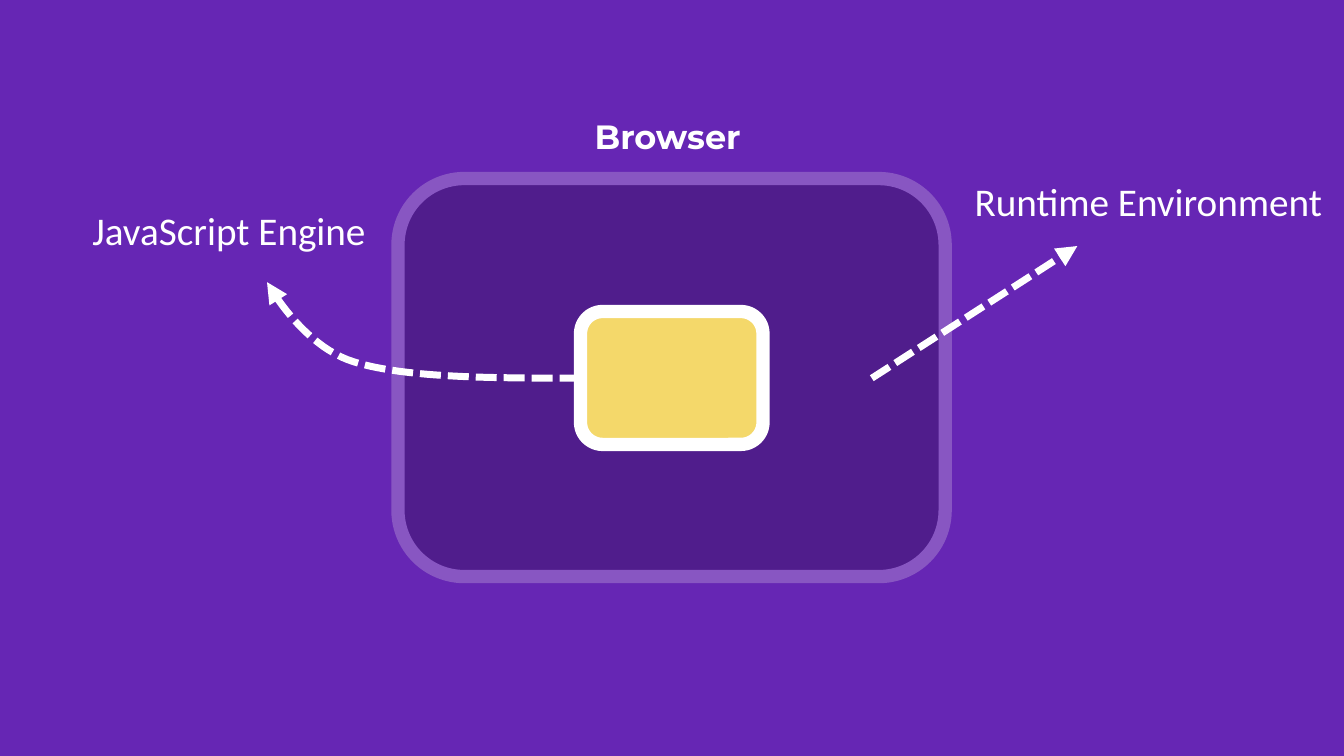
import pptx
import pptx.util
import pptx.dml.color
import pptx.enum.dml
import pptx.enum.shapes
import pptx.enum.text
import pptx.oxml.ns
from lxml import etree

Cm, Pt = pptx.util.Cm, pptx.util.Pt

COLORS = {
    "background": "6626B4",
    "browser": "501D8C",
    "browser_edge": "8856C2",
    "engine": "F4D86A",
    "white": "FFFFFF",
}
TITLE = ("Browser", (14.73, 2.79, 4.39, 1.27))
LABELS = [
    ("JavaScript Engine", (2.08, 5.08, 7.47, 1.45)),
    ("Runtime Environment", (24.31, 4.34, 9.37, 1.45)),
]
BOXES = [
    ((10.03, 4.5, 13.79, 10.03), "browser", "browser_edge"),
    ((14.63, 7.85, 4.6, 3.35), "engine", "white"),
]
ENGINE_CURVE = [
    [(14.63, 9.53), (12.45, 9.53), (10.24, 9.53), (8.92, 9.12)],
    [(8.92, 9.12), (7.59, 8.71), (6.73, 7.11), (6.73, 7.11)],
]
RUNTIME_ARROW = (21.97, 9.53, 27.15, 6.2)
STEPS = 24


def rgb(name):
    return pptx.dml.color.RGBColor.from_string(COLORS[name])


def write_text(sp, text, size=28, font="Calibri", color="white", bold=False):
    tf = sp.text_frame
    tf.word_wrap = False
    tf.auto_size = pptx.enum.text.MSO_AUTO_SIZE.NONE
    tf.vertical_anchor = pptx.enum.text.MSO_ANCHOR.TOP
    p = tf.paragraphs[0]
    p.alignment = pptx.enum.text.PP_ALIGN.LEFT
    r = p.add_run()
    r.text = text
    r.font.size, r.font.name, r.font.bold = Pt(size), font, bold
    r.font.color.rgb = rgb(color)


def style_arrow(sp):
    sp.line.color.rgb = rgb("white")
    sp.line.width = Pt(5)
    sp.line.dash_style = pptx.enum.dml.MSO_LINE.SQUARE_DOT
    qn = pptx.oxml.ns.qn
    ln = sp.element.spPr.find(qn("a:ln"))
    etree.SubElement(ln, qn("a:tailEnd"), type="triangle")


def bezier(points, t):
    weights = [(1 - t) ** 3, 3 * t * (1 - t) ** 2, 3 * t ** 2 * (1 - t), t ** 3]
    return tuple(Cm(sum(w * pt[axis] for w, pt in zip(weights, points))) for axis in (0, 1))


def main():
    prs = pptx.Presentation()
    prs.slide_width, prs.slide_height = Cm(33.87), Cm(19.05)
    s = prs.slides.add_slide(prs.slide_layouts[5])
    s.background.fill.solid()
    s.background.fill.fore_color.rgb = rgb("background")

    text, place = TITLE
    title = s.shapes.title
    title.left, title.top, title.width, title.height = map(Cm, place)
    write_text(title, text, size=24, font="Montserrat", bold=True)

    for place, fill, edge in BOXES:
        sp = s.shapes.add_shape(
            pptx.enum.shapes.MSO_SHAPE.ROUNDED_RECTANGLE, *map(Cm, place))
        sp.shadow.inherit = False
        sp.fill.solid()
        sp.fill.fore_color.rgb = rgb(fill)
        sp.line.color.rgb = rgb(edge)
        sp.line.width = Pt(9.5)

    curve = [bezier(part, i / STEPS) for part in ENGINE_CURVE for i in range(1, STEPS + 1)]
    builder = s.shapes.build_freeform(*bezier(ENGINE_CURVE[0], 0))
    builder.add_line_segments(curve, close=False)
    sp = builder.convert_to_shape()
    sp.fill.background()
    sp.shadow.inherit = False
    style_arrow(sp)

    arrow = s.shapes.add_connector(
        pptx.enum.shapes.MSO_CONNECTOR.STRAIGHT, *map(Cm, RUNTIME_ARROW))
    style_arrow(arrow)
    etree.SubElement(arrow.element.spPr, pptx.oxml.ns.qn("a:effectLst"))

    for text, place in LABELS:
        write_text(s.shapes.add_textbox(*map(Cm, place)), text)

    prs.save("out.pptx")


if __name__ == "__main__":
    main()
